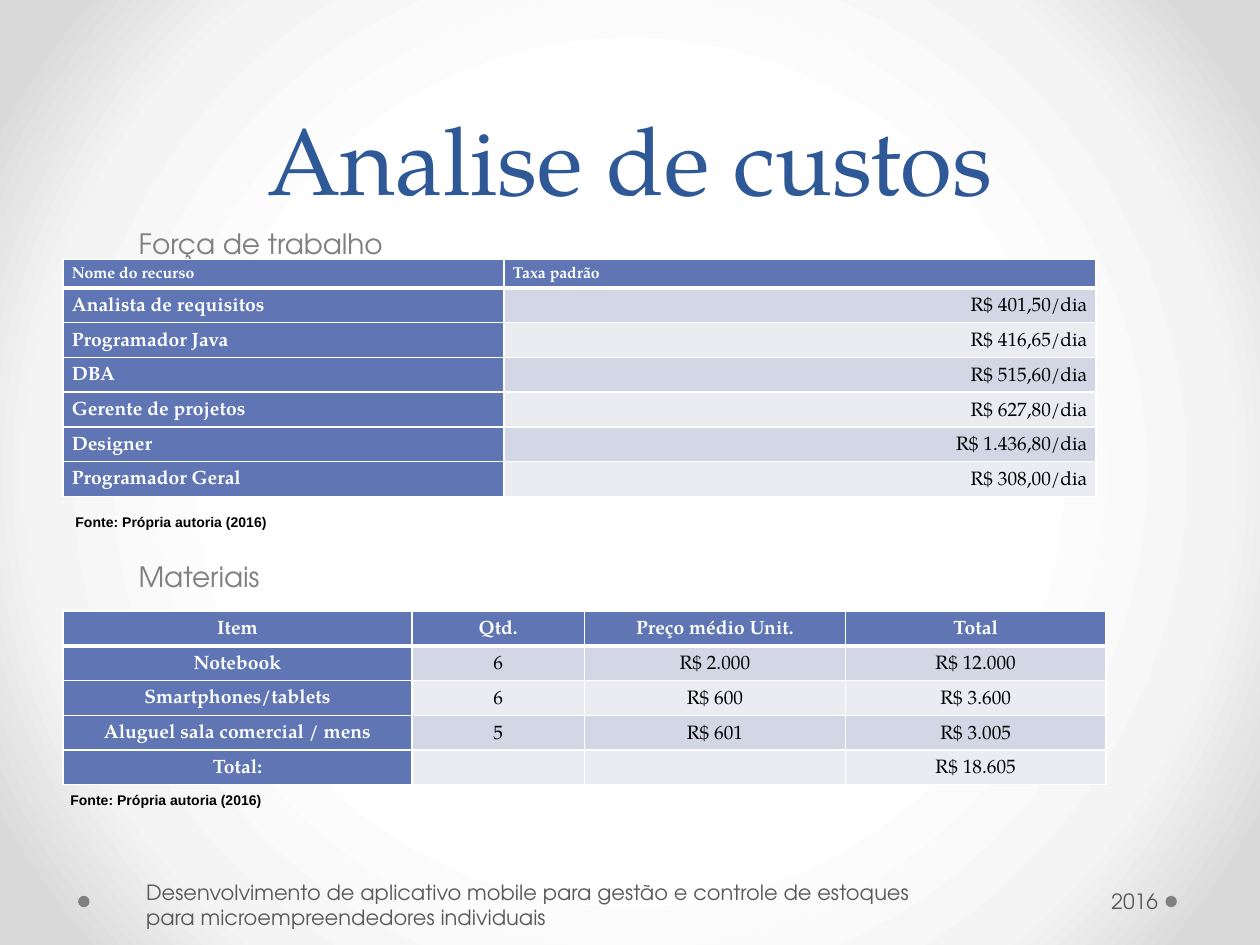
from dataclasses import dataclass

from lxml import etree
from pptx import Presentation
from pptx.dml.color import RGBColor
from pptx.enum.shapes import MSO_SHAPE
from pptx.enum.text import MSO_ANCHOR, PP_ALIGN
from pptx.oxml.ns import qn
from pptx.util import Inches, Pt

LEFT, CENTER, RIGHT = PP_ALIGN.LEFT, PP_ALIGN.CENTER, PP_ALIGN.RIGHT
MIDDLE, BOTTOM = MSO_ANCHOR.MIDDLE, MSO_ANCHOR.BOTTOM
OVAL = MSO_SHAPE.OVAL


@dataclass(frozen=True)
class Theme:
    serif: str = "TeX Gyre Pagella"
    sans: str = "TeX Gyre Adventor"
    source_font: str = "Arial"
    title: str = "2F5897"
    gray: str = "808080"
    footer: str = "595959"
    black: str = "000000"
    white: str = "FFFFFF"
    header: str = "6076B4"
    bands: tuple = ("D2D6E5", "EAECF2")
    backdrop: tuple = ((50, "FFFFFF"), (76, "F4F4F4"), (92, "DADADA"))
    title_size: int = 54
    section_size: int = 16
    footer_size: int = 12
    cell_size: int = 11
    small_header_size: int = 9
    source_size: int = 8


THEME = Theme()

WORKFORCE = [
    ("Nome do recurso", "Taxa padrão"),
    ("Analista de requisitos", "R$ 401,50/dia"),
    ("Programador Java", "R$ 416,65/dia"),
    ("DBA", "R$ 515,60/dia"),
    ("Gerente de projetos", "R$ 627,80/dia"),
    ("Designer", "R$ 1.436,80/dia"),
    ("Programador Geral", "R$ 308,00/dia"),
]
MATERIALS = [
    ("Item", "Qtd.", "Preço médio Unit.", "Total"),
    ("Notebook", "6", "R$ 2.000", "R$ 12.000"),
    ("Smartphones/tablets", "6", "R$ 600", "R$ 3.600"),
    ("Aluguel sala comercial / mens", "5", "R$ 601", "R$ 3.005"),
    ("Total:", "", "", "R$ 18.605"),
]
SOURCE = "Fonte: Própria autoria (2016)"


def place(shape, box):
    shape.left, shape.top, shape.width, shape.height = map(Inches, box)


def add_run(paragraph, text, font, size, color, bold=False):
    run = paragraph.add_run()
    run.text = text
    run.font.name = font
    run.font.size = Pt(size)
    run.font.bold = bold
    run.font.color.rgb = RGBColor.from_string(color)


def paint_backdrop(slide):
    """Radial gradient, white in the middle and gray at the corners."""
    fill = slide.background.fill
    fill.gradient()
    gradient = slide.background._cSld.find(".//" + qn("a:gradFill"))
    for child in list(gradient):
        gradient.remove(child)
    stops = etree.SubElement(gradient, qn("a:gsLst"))
    for percent, color in THEME.backdrop:
        stop = etree.SubElement(stops, qn("a:gs"), pos=str(percent * 1000))
        etree.SubElement(stop, qn("a:srgbClr"), val=color)
    circle = etree.SubElement(gradient, qn("a:path"))
    circle.set("path", "circle")
    etree.SubElement(circle, qn("a:fillToRect"),
                     {side: "50000" for side in "ltrb"})


def fill_title(slide, box, text):
    title = slide.shapes.title
    place(title, box)
    title.text_frame.vertical_anchor = BOTTOM
    paragraph = title.text_frame.paragraphs[0]
    paragraph.alignment = CENTER
    paragraph.line_spacing = Pt(58)
    add_run(paragraph, text, THEME.serif, THEME.title_size, THEME.title)


def fill_sections(slide, box, headings, gap):
    """Section headings in the body, with room for a table between them."""
    body = slide.placeholders[1]
    place(body, box)
    frame = body.text_frame
    for index, heading in enumerate(headings):
        paragraph = frame.add_paragraph() if index else frame.paragraphs[0]
        properties = paragraph._p.get_or_add_pPr()
        properties.set("marL", str(Inches(0.5)))
        properties.set("indent", "0")
        etree.SubElement(properties, qn("a:buNone"))
        paragraph.space_before = Pt(gap if index else 0)
        add_run(paragraph, heading, THEME.sans, THEME.section_size, THEME.gray)


def set_borders(cell, bottom_width):
    properties = cell._tc.get_or_add_tcPr()
    widths = {"a:lnL": 1, "a:lnR": 1, "a:lnT": 1, "a:lnB": bottom_width}
    for position, (tag, width) in enumerate(widths.items()):
        line = etree.Element(qn(tag), w=str(Pt(width)))
        solid = etree.SubElement(line, qn("a:solidFill"))
        etree.SubElement(solid, qn("a:srgbClr"), val=THEME.white)
        properties.insert(position, line)


def add_cost_table(slide, box, rows, widths, alignments, header_size):
    """Cost table; alignments holds those of the first and other columns."""
    left, top, width, height = map(Inches, box)
    table = slide.shapes.add_table(len(rows), len(widths),
                                   left, top, width, height).table
    for column, column_width in zip(table.columns, widths):
        column.width = Inches(column_width)
    for r, row in enumerate(rows):
        for c, text in enumerate(row):
            cell = table.cell(r, c)
            heading = r == 0 or c == 0
            size = THEME.cell_size if r else header_size
            cell.margin_left = cell.margin_right = Inches(0.07)
            cell.margin_top = cell.margin_bottom = 0
            cell.fill.solid()
            cell.fill.fore_color.rgb = RGBColor.from_string(
                THEME.header if heading else THEME.bands[(r - 1) % 2])
            set_borders(cell, 1 if r else 3)
            paragraph = cell.text_frame.paragraphs[0]
            paragraph.alignment = alignments[1 if r and c else 0]
            paragraph.line_spacing = 1.5
            if text:
                add_run(paragraph, text, THEME.serif, size,
                        THEME.white if heading else THEME.black, heading)
            else:
                paragraph.font.size = Pt(size)


def add_text(slide, box, text, font, size, color, bold=False,
             alignment=LEFT, anchor=None, insets=(0.1, 0.1)):
    frame = slide.shapes.add_textbox(*map(Inches, box)).text_frame
    frame.word_wrap = True
    frame.vertical_anchor = anchor
    frame.margin_left, frame.margin_right = map(Inches, insets)
    paragraph = frame.paragraphs[0]
    paragraph.alignment = alignment
    add_run(paragraph, text, font, size, color, bold)


def add_source(slide, box):
    add_text(slide, box, SOURCE, THEME.source_font, THEME.source_size,
             THEME.black, bold=True)


def add_footer(slide, box, project, year):
    left, top, width, _ = box
    dot_size = 0.09
    for dot_left in (left, left + width - dot_size):
        dot = slide.shapes.add_shape(
            OVAL, *map(Inches, (dot_left, top + 0.16, dot_size, dot_size)))
        dot.shadow.inherit = False
        dot.fill.solid()
        dot.fill.fore_color.rgb = RGBColor.from_string(THEME.gray)
        dot.line.fill.background()
    style = (THEME.sans, THEME.footer_size, THEME.footer)
    add_text(slide, (left + width - 2.38, top, 2.28, 0.4), year, *style,
             alignment=RIGHT, anchor=MIDDLE, insets=(0.1, 0.05))
    add_text(slide, (left + 0.49, top + 0.03, 6.41, 0.4), project, *style,
             anchor=MIDDLE, insets=(0.05, 0.1))


def main():
    deck = Presentation()
    deck.slide_width, deck.slide_height = Inches(10), Inches(7.5)
    slide = deck.slides.add_slide(deck.slide_layouts[1])
    paint_backdrop(slide)
    add_footer(slide, (0.62, 6.95, 8.72, 0.4),
               "Desenvolvimento de aplicativo mobile para gestão e controle "
               "de estoques para microempreendedores individuais", "2016")
    fill_title(slide, (0.5, 0, 9, 1.75), "Analise de custos")
    fill_sections(slide, (0.5, 1.75, 9, 4.95),
                  ("Força de trabalho", "Materiais"), gap=171)
    add_cost_table(slide, (0.5, 2.06, 8.2, 1.47), WORKFORCE, (3.5, 4.7),
                   (LEFT, RIGHT), THEME.small_header_size)
    add_source(slide, (0.5, 4.03, 1.98, 0.54))
    add_cost_table(slide, (0.5, 4.85, 8.28, 0.75), MATERIALS,
                   (2.77, 1.37, 2.07, 2.07), (CENTER, CENTER),
                   THEME.cell_size)
    add_source(slide, (0.46, 6.23, 1.98, 0.54))


    deck.save("out.pptx")


if __name__ == "__main__":
    main()
